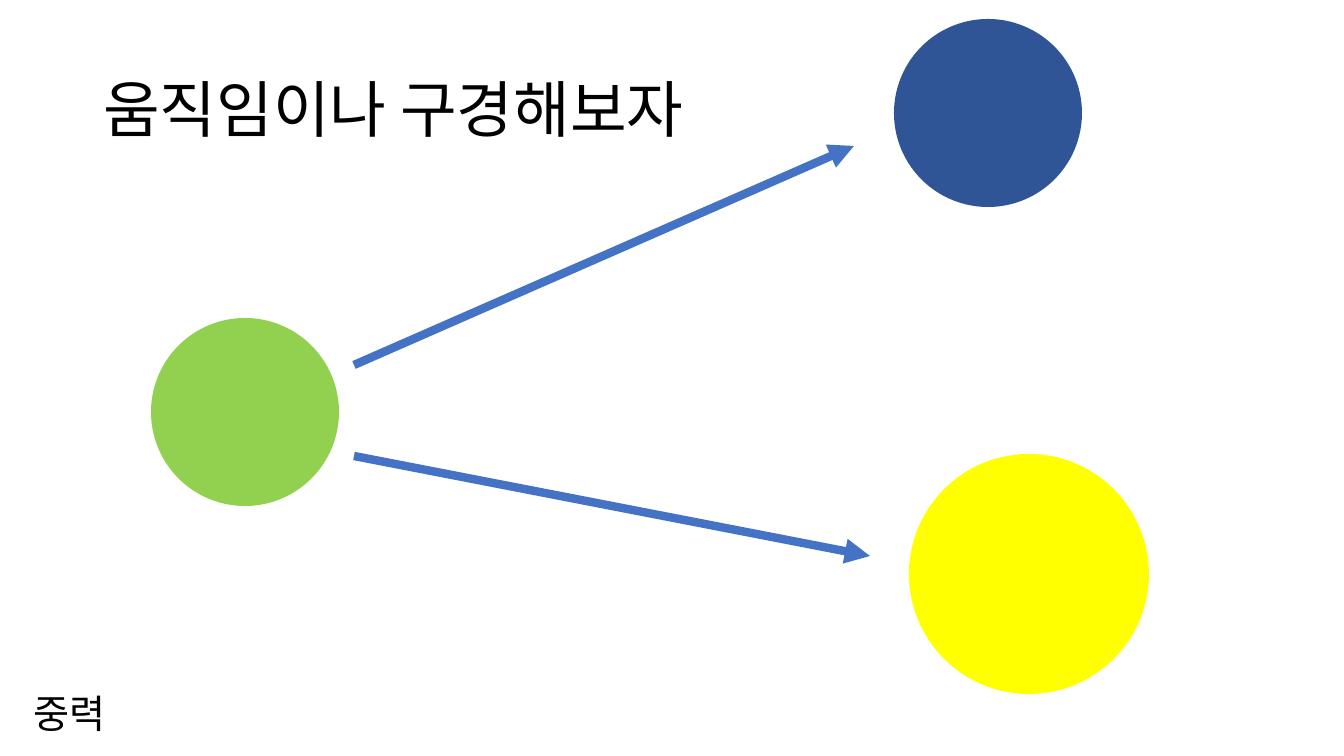
from lxml.etree import SubElement
from pptx import Presentation
from pptx.dml.color import RGBColor
from pptx.enum.shapes import MSO_CONNECTOR, MSO_SHAPE
from pptx.enum.text import MSO_ANCHOR, MSO_AUTO_SIZE, PP_ALIGN
from pptx.oxml.ns import qn
from pptx.util import Emu, Pt

PIXELS_PER_INCH = 100.8
FONT = "Calibri"
BLACK = "000000"
ARROW_BLUE = "4472C4"


def px(pixels):
    return Emu(round(pixels * 914400 / PIXELS_PER_INCH))


def color(value):
    return RGBColor.from_string(value)


def write_text(box, text, size, spacing=1.0):
    frame = box.text_frame
    frame.text = text
    frame.word_wrap = True
    paragraph = frame.paragraphs[0]
    paragraph.alignment = PP_ALIGN.LEFT
    paragraph.line_spacing = spacing
    for span in paragraph.runs:
        span.font.name = FONT
        span.font.size = Pt(size)
        span.font.color.rgb = color(BLACK)


def add_title(page, text, left, top, width, height):
    title = page.shapes.title
    title.left, title.top = px(left), px(top)
    title.width, title.height = px(width), px(height)
    write_text(title, text, 44, 0.9)
    title.text_frame.auto_size = MSO_AUTO_SIZE.NONE
    title.text_frame.vertical_anchor = MSO_ANCHOR.MIDDLE


def add_label(page, text, left, top, width, height):
    box = page.shapes.add_textbox(px(left), px(top), px(width), px(height))
    write_text(box, text, 28)
    box.text_frame.auto_size = MSO_AUTO_SIZE.SHAPE_TO_FIT_TEXT


def add_circle(page, left, top, diameter, fill):
    circle = page.shapes.add_shape(
        MSO_SHAPE.OVAL, px(left), px(top), px(diameter), px(diameter))
    circle.shadow.inherit = False
    circle.fill.solid()
    circle.fill.fore_color.rgb = color(fill)
    circle.line.fill.background()


def add_arrow(page, start, end):
    arrow = page.shapes.add_connector(
        MSO_CONNECTOR.STRAIGHT, *map(px, start + end))
    arrow.line.color.rgb = color(ARROW_BLUE)
    arrow.line.width = Pt(6)
    properties = arrow._element.spPr
    SubElement(properties.find(qn("a:ln")), qn("a:tailEnd"), type="triangle")
    SubElement(properties, qn("a:effectLst"))


def main():
    deck = Presentation()
    deck.slide_width, deck.slide_height = px(1344), px(756)
    page = deck.slides.add_slide(deck.slide_layouts[5])

    add_title(page, "움직임이나 구경해보자", 93, 40, 1159, 146)
    add_label(page, "중력", 24, 684, 799, 57)

    add_circle(page, 909, 454, 240, "FFFF00")
    add_circle(page, 894, 19, 188, "2F5597")
    add_circle(page, 151, 318, 188, "92D050")

    add_arrow(page, (354, 365), (854, 146))
    add_arrow(page, (354, 456), (870, 556))

    deck.save("out.pptx")


main()
